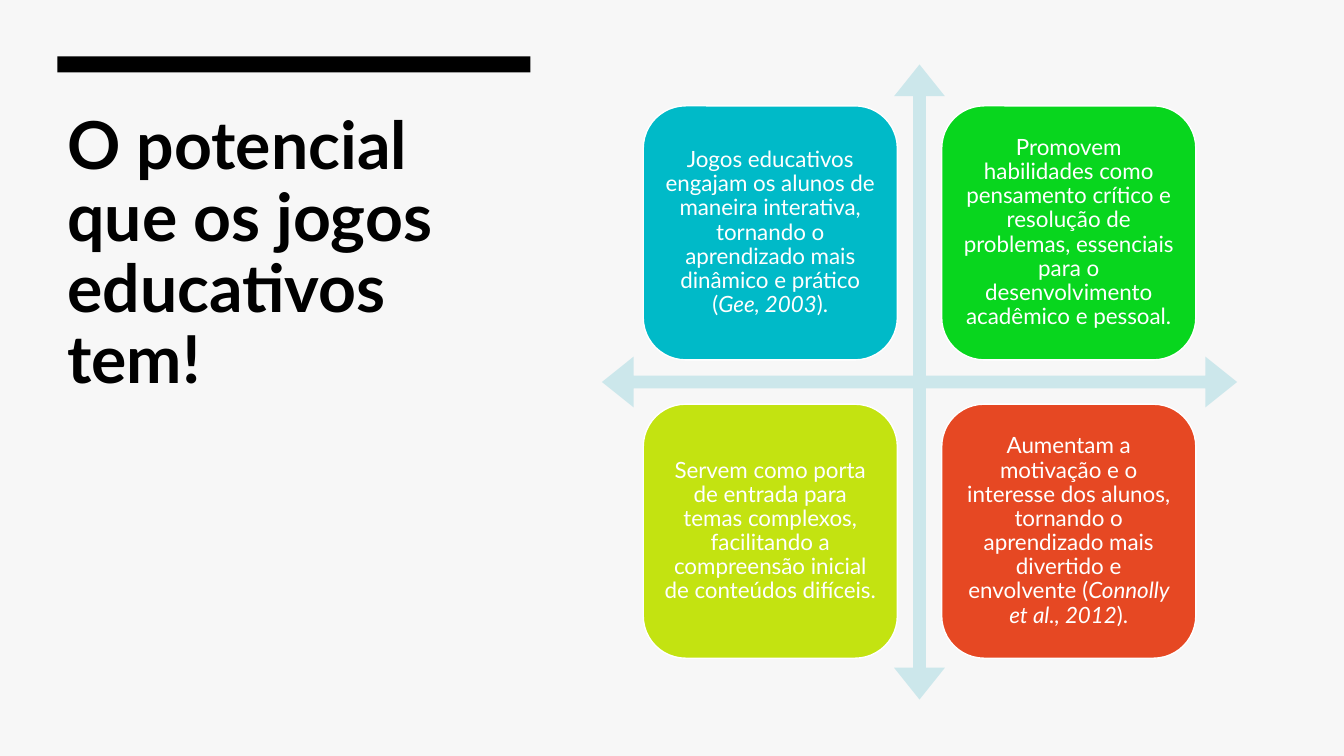
from pptx import Presentation
from pptx.dml.color import RGBColor
from pptx.enum.shapes import MSO_SHAPE
from pptx.enum.text import MSO_ANCHOR, PP_ALIGN
from pptx.util import Inches, Pt

RECT = MSO_SHAPE.RECTANGLE
ROUNDED = MSO_SHAPE.ROUNDED_RECTANGLE
QUAD_ARROW = MSO_SHAPE.QUAD_ARROW
TOP, MIDDLE = MSO_ANCHOR.TOP, MSO_ANCHOR.MIDDLE
LEFT, CENTER = PP_ALIGN.LEFT, PP_ALIGN.CENTER

BACKGROUND = RGBColor(0xF7, 0xF7, 0xF7)
BLACK = RGBColor(0x00, 0x00, 0x00)
WHITE = RGBColor(0xFF, 0xFF, 0xFF)
PALE_BLUE = RGBColor(0xCC, 0xE7, 0xEB)
TEAL = RGBColor(0x00, 0xBA, 0xC8)
GREEN = RGBColor(0x08, 0xD6, 0x1E)
LIME = RGBColor(0xC3, 0xE3, 0x11)
ORANGE = RGBColor(0xE6, 0x48, 0x23)

FONT = "Lato"
CARD_LEFT, CARD_TOP = 6.38, 1.05
CARD_SIZE, CARD_STEP = 2.52, 2.96
CARD_INSET = Inches(0.07)

TITLE = "O potencial que os jogos educativos tem!"
CARDS = [
    (TEAL, "Jogos educativos engajam os alunos de maneira interativa, "
           "tornando o aprendizado mais dinâmico e prático (", "Gee, 2003", ")."),
    (GREEN, "Promovem habilidades como pensamento crítico e resolução de "
            "problemas, essenciais para o desenvolvimento acadêmico e pessoal.", "", ""),
    (LIME, "Servem como porta de entrada para temas complexos, facilitando "
           "a compreensão inicial de conteúdos difíceis.", "", ""),
    (ORANGE, "Aumentam a motivação e o interesse dos alunos, tornando o "
             "aprendizado mais divertido e envolvente (", "Connolly et al., 2012", ")."),
]


def add_block(s, kind, left, top, width, height, color):
    sp = s.shapes.add_shape(kind, Inches(left), Inches(top), Inches(width), Inches(height))
    sp.shadow.inherit = False
    sp.fill.solid()
    sp.fill.fore_color.rgb = color
    sp.line.fill.background()
    return sp


def format_text(sp, size, color, align, anchor):
    tf = sp.text_frame
    tf.word_wrap = True
    tf.vertical_anchor = anchor
    p = tf.paragraphs[0]
    p.alignment = align
    p.line_spacing = 0.9
    p.font.name = FONT
    p.font.size = Pt(size)
    p.font.color.rgb = color
    return p


def add_title(s):
    sp = s.shapes.add_textbox(Inches(0.57), Inches(1.07), Inches(4.69), Inches(3.68))
    p = format_text(sp, 47.2, BLACK, LEFT, TOP)
    p.font.bold = True
    p.add_run().text = TITLE


def add_axes(s):
    sp = add_block(s, QUAD_ARROW, 5.97, 0.64, 6.3, 6.3, PALE_BLUE)
    for i, value in enumerate((0.02, 0.04, 0.05)):
        sp.adjustments[i] = value


def add_card(s, row, col, color, text, citation, ending):
    sp = add_block(s, ROUNDED, CARD_LEFT + col * CARD_STEP, CARD_TOP + row * CARD_STEP,
                   CARD_SIZE, CARD_SIZE, color)
    sp.line.color.rgb = WHITE
    sp.line.width = Pt(1)
    tf = sp.text_frame
    tf.margin_left = tf.margin_right = tf.margin_top = tf.margin_bottom = CARD_INSET
    p = format_text(sp, 16, WHITE, CENTER, MIDDLE)
    p.add_run().text = text
    if citation:
        r = p.add_run()
        r.text = citation
        r.font.italic = True
        p.add_run().text = ending


def main():
    prs = Presentation()
    prs.slide_width = Inches(13.33)
    prs.slide_height = Inches(7.5)
    s = prs.slides.add_slide(prs.slide_layouts[6])
    s.background.fill.solid()
    s.background.fill.fore_color.rgb = BACKGROUND
    add_title(s)
    add_block(s, RECT, 0.57, 0.56, 4.69, 0.16, BLACK)
    add_axes(s)
    for i, card in enumerate(CARDS):
        add_card(s, *divmod(i, 2), *card)
    prs.save("out.pptx")


if __name__ == "__main__":
    main()
